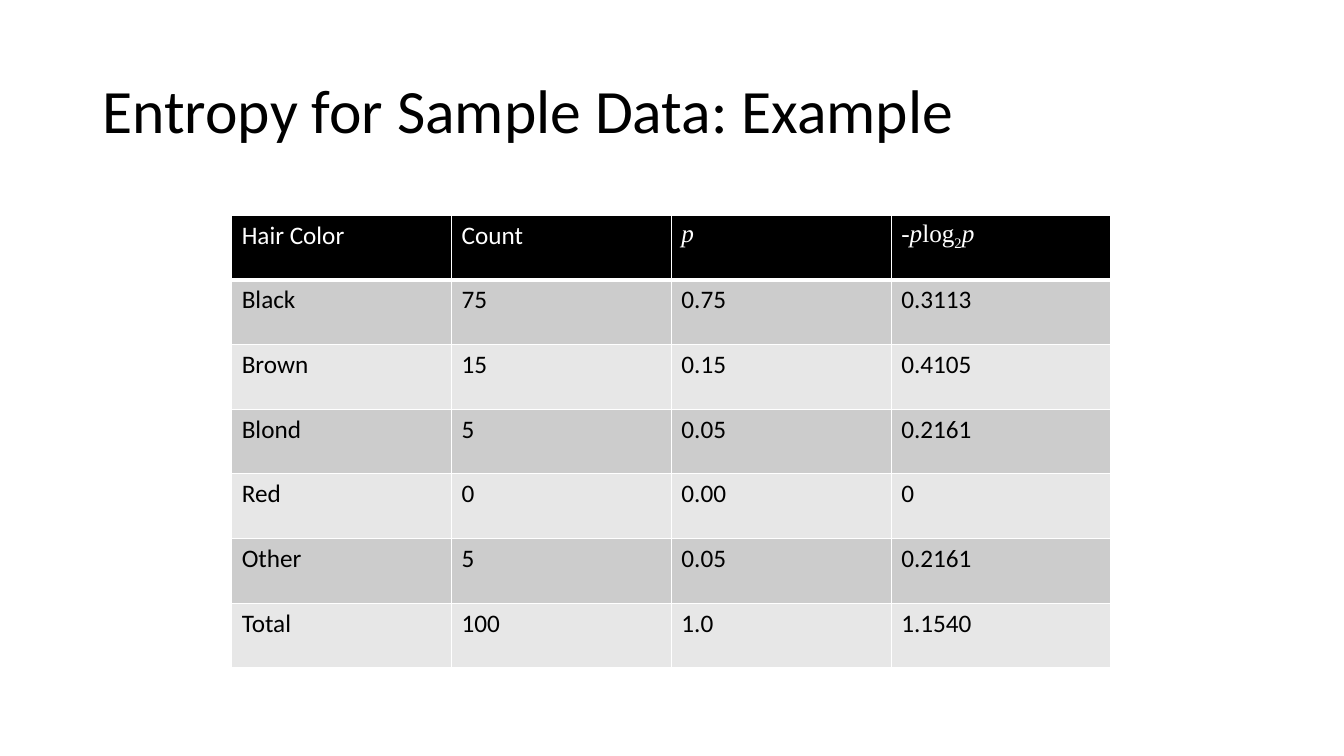
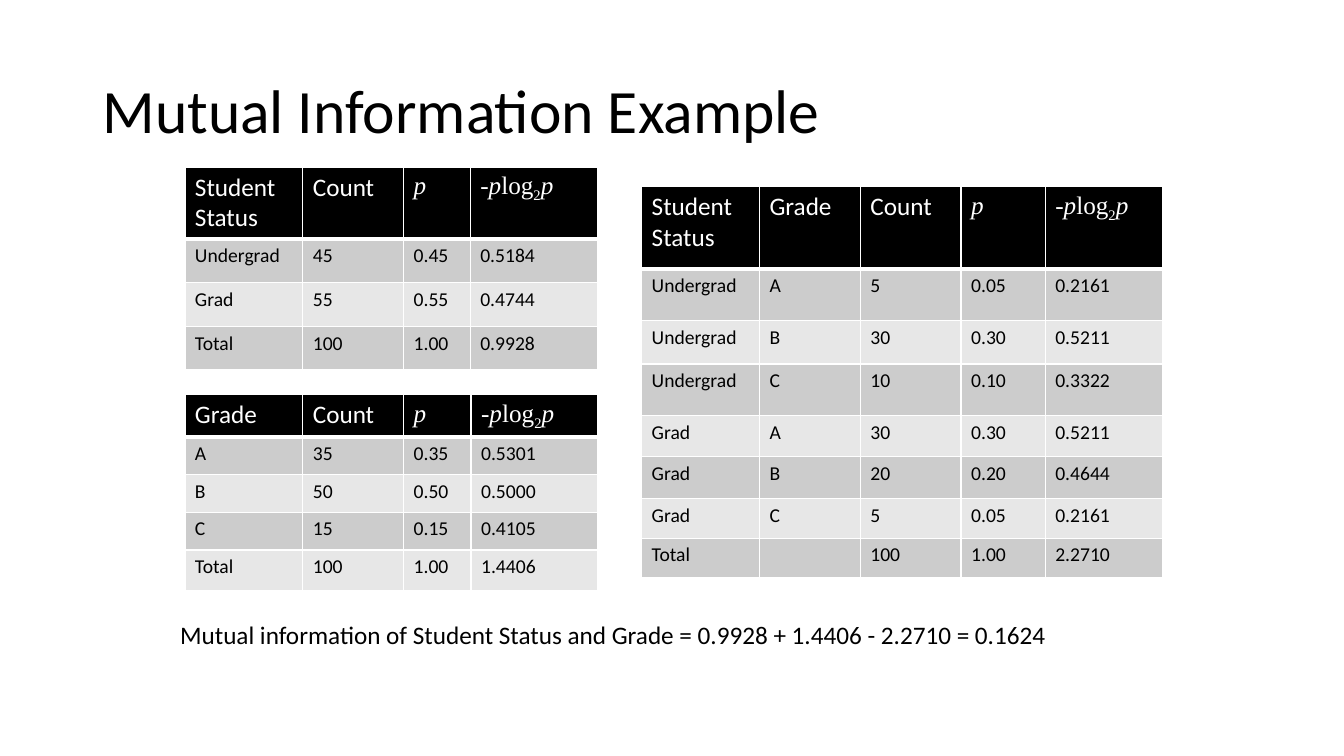
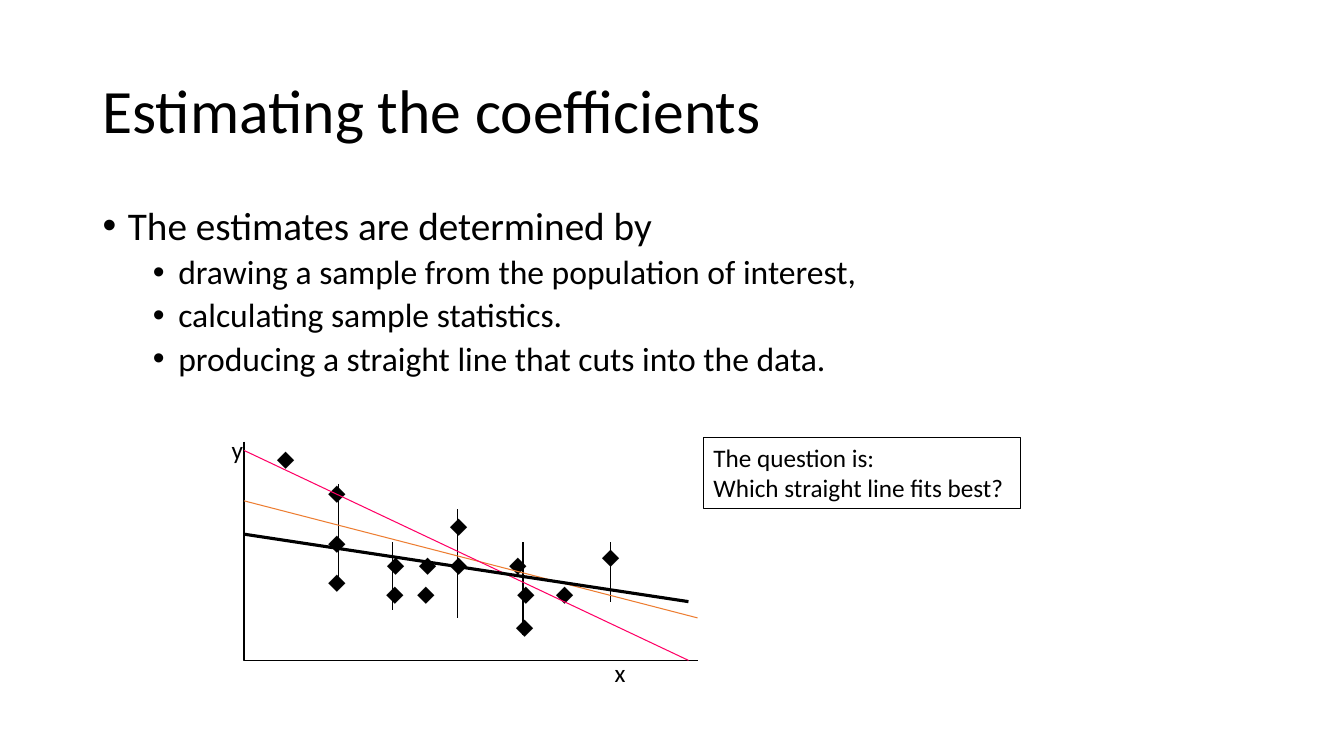
"""Build three slides on entropy, mutual information and line fitting."""
from dataclasses import dataclass

from lxml.etree import SubElement
from pptx import Presentation
from pptx.dml.color import RGBColor
from pptx.enum.shapes import MSO_CONNECTOR as Connector, MSO_SHAPE as Preset
from pptx.enum.text import MSO_ANCHOR as Anchor, MSO_AUTO_SIZE as AutoSize, PP_ALIGN as Align
from pptx.oxml.ns import qn
from pptx.util import Cm, Pt


@dataclass(frozen=True)
class Theme:
    ink: str = "000000"
    paper: str = "FFFFFF"
    bands: tuple = ("CCCCCC", "E7E7E7")
    orange: str = "ED7D31"
    pink: str = "FF0066"
    font: str = "Calibri"
    math_font: str = "Times New Roman"
    marker_font: str = "Arial"
    title: int = 44
    bullets: tuple = (28, 24)
    text: int = 18
    small: int = 14
    thin: float = 0.75
    thick: float = 2.25
    grid: int = 1
    header_rule: int = 3


THEME = Theme()
TITLE_BOX = (2.33, 1.02, 29.21, 3.68)
BODY_BOX = (2.33, 5.07, 29.21, 12.09)

MATH = {"font": THEME.math_font}
P = [("p", {**MATH, "italic": True})]
P_LOG_P = [
    ("-p", {**MATH, "italic": True}),
    ("log", MATH),
    ("2", {**MATH, "baseline": -25}),
    ("p", {**MATH, "italic": True}),
]

HAIR_TABLE = {
    "corner": (5.84, 5.42),
    "columns": [5.54] * 4,
    "rows": [1.63] * 7,
    "size": THEME.text,
    "cells": [
        ("Hair Color", "Count", P, P_LOG_P),
        ("Black", "75", "0.75", "0.3113"),
        ("Brown", "15", "0.15", "0.4105"),
        ("Blond", "5", "0.05", "0.2161"),
        ("Red", "0", "0.00", "0"),
        ("Other", "5", "0.05", "0.2161"),
        ("Total", "100", "1.0", "1.1540"),
    ],
}
STATUS_TABLE = {
    "corner": (4.66, 4.21),
    "columns": [2.97, 2.54, 1.68, 3.2],
    "rows": [1.11, 1.11, 1.11, 1.08],
    "size": THEME.small,
    "cells": [
        ("Student Status", "Count", P, P_LOG_P),
        ("Undergrad", "45", "0.45", "0.5184"),
        ("Grad", "55", "0.55", "0.4744"),
        ("Total", "100", "1.00", "0.9928"),
    ],
}
GRADE_TABLE = {
    "corner": (4.66, 9.95),
    "columns": [2.97, 2.54, 1.7, 3.18],
    "rows": [0.97, 0.95, 0.95, 0.95, 1.02],
    "size": THEME.small,
    "cells": [
        ("Grade", "Count", P, P_LOG_P),
        ("A", "35", "0.35", "0.5301"),
        ("B", "50", "0.50", "0.5000"),
        ("C", "15", "0.15", "0.4105"),
        ("Total", "100", "1.00", "1.4406"),
    ],
}
JOINT_TABLE = {
    "corner": (16.17, 4.7),
    "columns": [2.97, 2.54, 2.54, 2.12, 2.97],
    "rows": [2.08, 1.3, 1.09, 1.3, 1.04, 1.06, 0.99, 0.99],
    "size": THEME.small,
    "cells": [
        ("Student Status", "Grade", "Count", P, P_LOG_P),
        ("Undergrad", "A", "5", "0.05", "0.2161"),
        ("Undergrad", "B", "30", "0.30", "0.5211"),
        ("Undergrad", "C", "10", "0.10", "0.3322"),
        ("Grad", "A", "30", "0.30", "0.5211"),
        ("Grad", "B", "20", "0.20", "0.4644"),
        ("Grad", "C", "5", "0.05", "0.2161"),
        ("Total", "", "100", "1.00", "2.2710"),
    ],
}
MUTUAL_INFORMATION = (
    "Mutual information of Student Status and Grade = 0.9928 + 1.4406 - 2.2710 = 0.1624"
)

BULLETS = [
    (0, "The estimates are determined by"),
    (1, "drawing a sample from the population of interest,"),
    (1, "calculating sample statistics."),
    (1, "producing a straight line that cuts into the data."),
]
AXES = [(6.15, 11.13), (6.15, 16.64), (17.58, 16.64)]
MARKERS = [
    (7.18, 11.59), (8.47, 12.45), (8.47, 13.71), (8.47, 14.67),
    (9.95, 14.24), (10.76, 14.24), (11.54, 14.24), (13.03, 14.24),
    (11.54, 13.28), (13.23, 14.99), (14.21, 14.99), (15.37, 14.04),
    (9.93, 14.99), (10.71, 14.99), (13.2, 15.82),
]
RESIDUALS = [
    (8.53, 12.19, 14.73), (9.88, 13.67, 15.37), (11.53, 12.83, 15.57),
    (13.18, 13.67, 16.0), (15.39, 13.67, 15.16),
]
FITTED_LINES = [
    ((6.15, 12.62), (17.58, 15.57), THEME.orange, THEME.thin),
    ((6.15, 11.35), (17.35, 16.64), THEME.pink, THEME.thin),
    ((6.15, 13.46), (17.35, 15.16), THEME.ink, THEME.thick),
]
QUESTION = ["The question is:", "Which straight line fits best?"]
AXIS_LABELS = [("x", 15.24, 16.43), ("y", 5.59, 10.82)]


def rgb(value):
    return RGBColor.from_string(value)


def write(paragraph, text, *, size=THEME.text, font=THEME.font, color=THEME.ink,
          italic=False, baseline=0, align=Align.LEFT):
    paragraph.alignment = align
    pieces = [(text, {})] if isinstance(text, str) else text
    for piece, changes in pieces:
        style = {"font": font, "italic": italic, "baseline": baseline, **changes}
        run = paragraph.add_run()
        run.text = piece
        run.font.size = Pt(size)
        run.font.name = style["font"]
        run.font.bold = False
        run.font.italic = style["italic"]
        run.font.color.rgb = rgb(color)
        if style["baseline"]:
            run._r.get_or_add_rPr().set("baseline", str(style["baseline"] * 1000))


def place(shape, box):
    shape.left, shape.top, shape.width, shape.height = map(Cm, box)


def add_titled_slide(presentation, layout, title):
    slide = presentation.slides.add_slide(presentation.slide_layouts.get_by_name(layout))
    shape = slide.shapes.title
    place(shape, TITLE_BOX)
    frame = shape.text_frame
    frame.auto_size = AutoSize.NONE
    frame.vertical_anchor = Anchor.MIDDLE
    frame.paragraphs[0].line_spacing = 0.9
    write(frame.paragraphs[0], title, size=THEME.title)
    return slide


def add_text(slide, box, text, wrap=True, **style):
    frame = slide.shapes.add_textbox(*map(Cm, box)).text_frame
    frame.word_wrap = wrap
    write(frame.paragraphs[0], text, **style)


def set_borders(cell, is_header):
    properties = cell._tc.get_or_add_tcPr()
    for side in ("L", "R", "T", "B"):
        width = THEME.header_rule if is_header and side == "B" else THEME.grid
        border = SubElement(properties, qn(f"a:ln{side}"), w=str(Pt(width)))
        fill = SubElement(border, qn("a:solidFill"))
        SubElement(fill, qn("a:srgbClr"), val=THEME.paper)


def add_data_table(slide, data):
    columns, rows = data["columns"], data["rows"]
    box = (*data["corner"], sum(columns), sum(rows))
    table = slide.shapes.add_table(len(rows), len(columns), *map(Cm, box)).table
    for column, width in zip(table.columns, columns):
        column.width = Cm(width)
    for row_index, (row, height, texts) in enumerate(zip(table.rows, rows, data["cells"])):
        row.height = Cm(height)
        is_header = row_index == 0
        fill = THEME.ink if is_header else THEME.bands[(row_index - 1) % 2]
        for cell, text in zip(row.cells, texts):
            set_borders(cell, is_header)
            cell.fill.solid()
            cell.fill.fore_color.rgb = rgb(fill)
            write(cell.text_frame.paragraphs[0], text,
                  size=THEME.text if is_header else data["size"],
                  color=THEME.paper if is_header else THEME.ink)


def set_line(shape, color=THEME.ink, width=THEME.thin):
    shape.line.color.rgb = rgb(color)
    shape.line.width = Pt(width)


def add_line(slide, start, end, color=THEME.ink, width=THEME.thin):
    line = slide.shapes.add_connector(Connector.STRAIGHT, *map(Cm, (*start, *end)))
    set_line(line, color, width)
    SubElement(line._element.spPr, qn("a:effectLst"))


def fill_bullets(shape):
    place(shape, BODY_BOX)
    frame = shape.text_frame
    frame.auto_size = AutoSize.NONE
    for index, (level, text) in enumerate(BULLETS):
        paragraph = frame.add_paragraph() if index else frame.paragraphs[0]
        paragraph.level = level
        paragraph.line_spacing = 0.9
        paragraph.space_before = Pt((10, 5)[level])
        write(paragraph, text, size=THEME.bullets[level])
        properties = paragraph._p.get_or_add_pPr()
        properties.set("marL", str(Cm((0.64, 1.91)[level])))
        properties.set("indent", str(Cm(-0.64)))
        SubElement(properties, qn("a:buFont"), typeface=THEME.marker_font)
        SubElement(properties, qn("a:buChar"), char="•")


def add_scatter(slide):
    start, *corners = [tuple(map(Cm, point)) for point in AXES]
    builder = slide.shapes.build_freeform(*start)
    builder.add_line_segments(corners, close=False)
    axes = builder.convert_to_shape()
    axes.shadow.inherit = False
    axes.fill.background()
    set_line(axes)
    for x, y in MARKERS:
        add_text(slide, (x - 0.45, y - 0.56, 0.9, 1.02), "⬥", wrap=False,
                 font=THEME.marker_font, align=Align.CENTER)
    for x, top, bottom in RESIDUALS:
        add_line(slide, (x, top), (x, bottom))
    for fitted_line in FITTED_LINES:
        add_line(slide, *fitted_line)


def add_question(slide):
    box = slide.shapes.add_shape(Preset.RECTANGLE, *map(Cm, (17.73, 11.02, 7.98, 1.8)))
    box.shadow.inherit = False
    box.fill.solid()
    box.fill.fore_color.rgb = rgb(THEME.paper)
    set_line(box)
    frame = box.text_frame
    frame.word_wrap = True
    frame.vertical_anchor = Anchor.TOP
    for index, text in enumerate(QUESTION):
        write(frame.add_paragraph() if index else frame.paragraphs[0], text)


def main():
    presentation = Presentation()
    presentation.slide_width, presentation.slide_height = Cm(33.87), Cm(19.05)

    entropy = add_titled_slide(presentation, "Title Only", "Entropy for Sample Data: Example")
    add_data_table(entropy, HAIR_TABLE)

    mutual = add_titled_slide(presentation, "Title Only", "Mutual Information Example")
    for data in (STATUS_TABLE, GRADE_TABLE, JOINT_TABLE):
        add_data_table(mutual, data)
    add_text(mutual, (4.29, 15.47, 23.75, 1.02), MUTUAL_INFORMATION)

    estimates = add_titled_slide(presentation, "Title and Content", "Estimating the coefficients")
    fill_bullets(estimates.placeholders[1])
    add_scatter(estimates)
    add_question(estimates)
    for label, left, top in AXIS_LABELS:
        add_text(estimates, (left, top, 0.76, 1.02), label, wrap=False)

    presentation.save("out.pptx")


if __name__ == "__main__":
    main()
